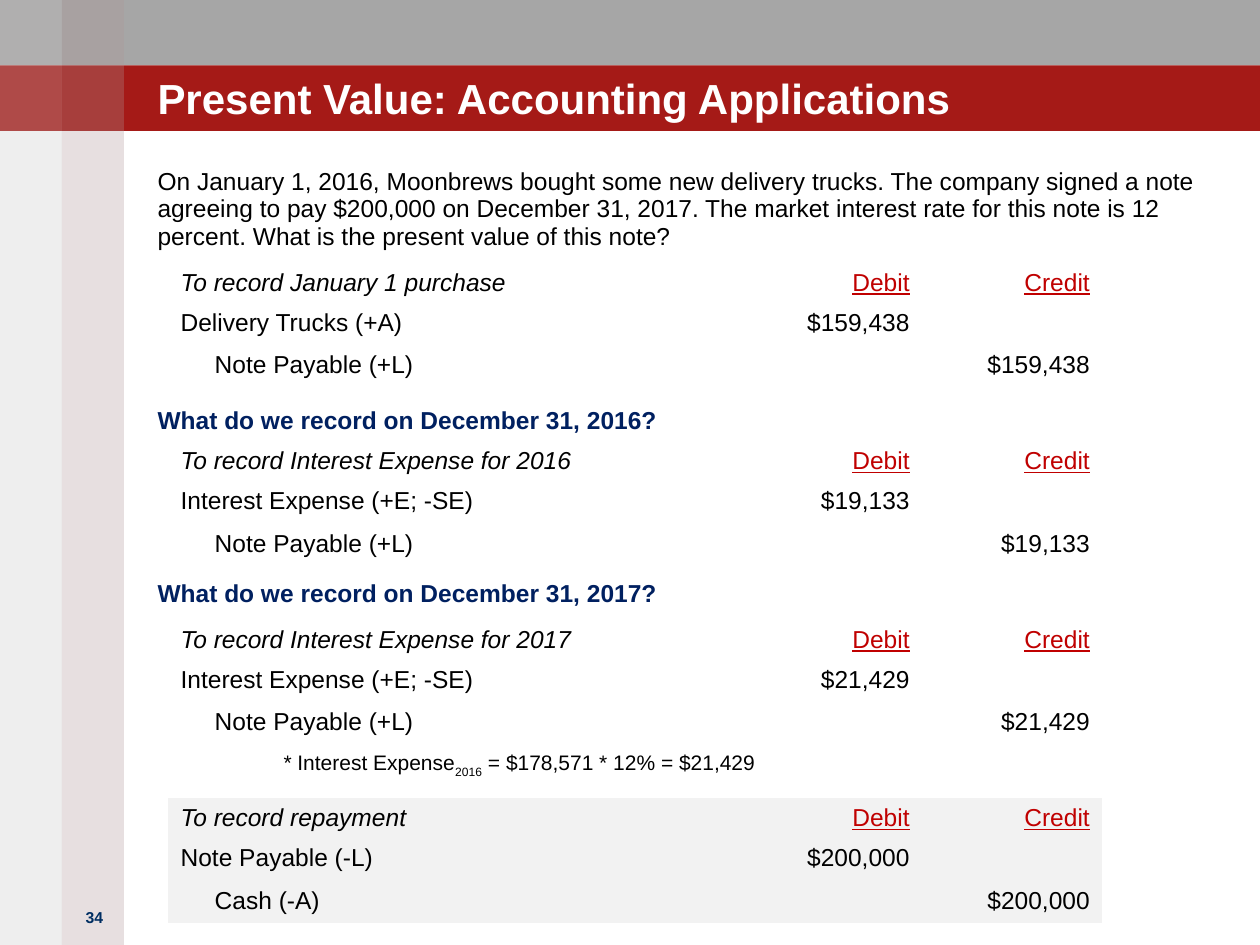
from pptx import Presentation
from pptx.dml.color import RGBColor
from pptx.enum.shapes import MSO_SHAPE
from pptx.enum.text import MSO_ANCHOR, MSO_AUTO_SIZE, PP_ALIGN
from pptx.oxml.ns import qn
from pptx.oxml.xmlchemy import OxmlElement
from pptx.util import Pt

FONT = "Arial"
BLACK, WHITE, RED, NAVY = "000000", "FFFFFF", "C00000", "002060"
NO_STYLE = "{2D5ABB26-0587-4C30-8999-92F81FD0307C}"
TITLE_AND_CONTENT = 1
BAND_HEIGHT, STRIP_WIDTH = 37.4, 35.4
ROW_HEIGHT, COLUMN_WIDTHS = 23, (336, 95, 103)
CELL_MARGIN, CREDIT_INDENT = 7.2, 19.5


def color(hex_string):
    return RGBColor.from_string(hex_string)


def add_run(paragraph, text, size=14, fill=BLACK, bold=False, italic=False, underline=False):
    run = paragraph.add_run()
    run.text = text
    font = run.font
    font.name, font.size = FONT, Pt(size)
    font.bold, font.italic, font.underline = bold, italic, underline
    font.color.rgb = color(fill)
    return run


def add_rectangle(slide, left, top, width, height, fill, opacity=100):
    shape = slide.shapes.add_shape(
        MSO_SHAPE.RECTANGLE, Pt(left), Pt(top), Pt(width), Pt(height))
    shape.shadow.inherit = False
    shape.line.fill.background()
    shape.fill.solid()
    shape.fill.fore_color.rgb = color(fill)
    if opacity < 100:
        alpha = OxmlElement("a:alpha")
        alpha.set("val", str(opacity * 1000))
        shape.fill._xPr.find(qn("a:solidFill"))[0].append(alpha)


def add_frame(slide, width, height):
    """Top bands and left strips, with lighter squares where they cross."""
    for row, fill in enumerate(("A6A6A6", "A51A17")):
        add_rectangle(slide, 0, row * BAND_HEIGHT, width, BAND_HEIGHT, fill)
    strips = (("938F8F", 15, 15), ("A08284", 25, 5))
    for column, (fill, opacity, square_opacity) in enumerate(strips):
        left = column * STRIP_WIDTH
        add_rectangle(slide, left, 0, STRIP_WIDTH, height, fill, opacity)
        for row in range(2):
            add_rectangle(slide, left, row * BAND_HEIGHT, STRIP_WIDTH, BAND_HEIGHT,
                          WHITE, square_opacity)


def place_placeholder(slide, placeholder, left, top, width, height, anchor):
    """Bring the placeholder to the front, move it and clear its insets."""
    slide.shapes._spTree.append(placeholder._element)
    placeholder.left, placeholder.top = Pt(left), Pt(top)
    placeholder.width, placeholder.height = Pt(width), Pt(height)
    frame = placeholder.text_frame
    frame.margin_left = frame.margin_top = frame.margin_right = frame.margin_bottom = 0
    frame.word_wrap, frame.auto_size = True, MSO_AUTO_SIZE.NONE
    frame.vertical_anchor = anchor
    return frame


def fill_title(slide, left, top, width, height):
    frame = place_placeholder(slide, slide.shapes.title, left, top, width, height,
                              MSO_ANCHOR.BOTTOM)
    paragraph = frame.paragraphs[0]
    paragraph.alignment = PP_ALIGN.LEFT
    add_run(paragraph, "Present Value: Accounting Applications", 24, WHITE, bold=True)


def add_body_paragraph(frame, space_before, indent=0, line_spacing=1.0):
    first = frame.paragraphs[0]
    paragraph = frame.add_paragraph() if first.runs else first
    paragraph.alignment = PP_ALIGN.LEFT
    paragraph.space_before, paragraph.space_after = Pt(space_before), Pt(0)
    paragraph.line_spacing = line_spacing
    properties = paragraph._p.get_or_add_pPr()
    properties.set("marL", str(Pt(indent)))
    properties.set("indent", "0")
    properties.append(OxmlElement("a:buNone"))
    return paragraph


def fill_body(slide, left, top, width, height):
    frame = place_placeholder(slide, slide.placeholders[1], left, top, width, height,
                              MSO_ANCHOR.TOP)
    add_run(add_body_paragraph(frame, 0, line_spacing=0.94),
            "On January 1, 2016, Moonbrews bought some new delivery trucks. "
            "The company signed a note agreeing to pay $200,000 on December 31, 2017. "
            "The market interest rate for this note is 12 percent. "
            "What is the present value of this note?")
    for year, space_before in ((2016, 88), (2017, 82)):
        add_run(add_body_paragraph(frame, space_before),
                f"What do we record on December 31, {year}?", fill=NAVY, bold=True)
    footnote = add_body_paragraph(frame, 81.5, indent=72)
    add_run(footnote, "* Interest Expense", 12)
    subscript = add_run(footnote, "2016", 12)
    subscript.font._element.set("baseline", "-25000")
    add_run(footnote, " = $178,571 * 12% = $21,429", 12)


def add_journal_entry(slide, left, top, heading, debit, credit, amount, fill=None):
    table = slide.shapes.add_table(
        3, 3, Pt(left), Pt(top), Pt(sum(COLUMN_WIDTHS)), Pt(3 * ROW_HEIGHT)).table
    table.first_row = table.horz_banding = False
    table._tbl.tblPr.find(qn("a:tableStyleId")).text = NO_STYLE
    for column, width in zip(table.columns, COLUMN_WIDTHS):
        column.width = Pt(width)
    rows = ((heading, "Debit", "Credit"), (debit, amount, ""), (credit, "", amount))
    for row, texts in enumerate(rows):
        table.rows[row].height = Pt(ROW_HEIGHT)
        for column, text in enumerate(texts):
            cell = table.cell(row, column)
            if fill:
                cell.fill.solid()
                cell.fill.fore_color.rgb = color(fill)
            else:
                cell.fill.background()
            paragraph = cell.text_frame.paragraphs[0]
            paragraph.font.size = Pt(14)
            if column:
                paragraph.alignment = PP_ALIGN.RIGHT
            elif row == 2:
                cell.margin_left = Pt(CELL_MARGIN + CREDIT_INDENT)
            if text:
                is_label = row == 0 and column > 0
                add_run(paragraph, text, fill=RED if is_label else BLACK,
                        italic=row == 0 and column == 0, underline=is_label)


def add_slide_number(slide, left, top, width, height):
    box = slide.shapes.add_textbox(Pt(left), Pt(top), Pt(width), Pt(height))
    box.text_frame.word_wrap = True
    paragraph = box.text_frame.paragraphs[0]
    paragraph.alignment = PP_ALIGN.CENTER
    add_run(paragraph, "34", 9, "002E62", bold=True)


def main():
    presentation = Presentation()
    presentation.slide_width, presentation.slide_height = Pt(720), Pt(540)
    slide = presentation.slides.add_slide(presentation.slide_layouts[TITLE_AND_CONTENT])
    add_frame(slide, 720, 540)
    add_slide_number(slide, 36, 515, 36, 36)
    fill_title(slide, 90, 22.3, 600, 48)
    fill_body(slide, 90, 96, 600, 426)
    interest, note = "Interest Expense (+E; -SE)", "Note Payable (+L)"
    entries = (
        ("To record January 1 purchase", "Delivery Trucks (+A)", note, "$159,438"),
        ("To record Interest Expense for 2016", interest, note, "$19,133"),
        ("To record Interest Expense for 2017", interest, note, "$21,429"),
        ("To record repayment", "Note Payable (-L)", "Cash (-A)", "$200,000", "F2F2F2"),
    )
    for index, entry in enumerate(entries):
        add_journal_entry(slide, 96, 150 + 102 * index, *entry)
    presentation.save("out.pptx")


if __name__ == "__main__":
    main()
